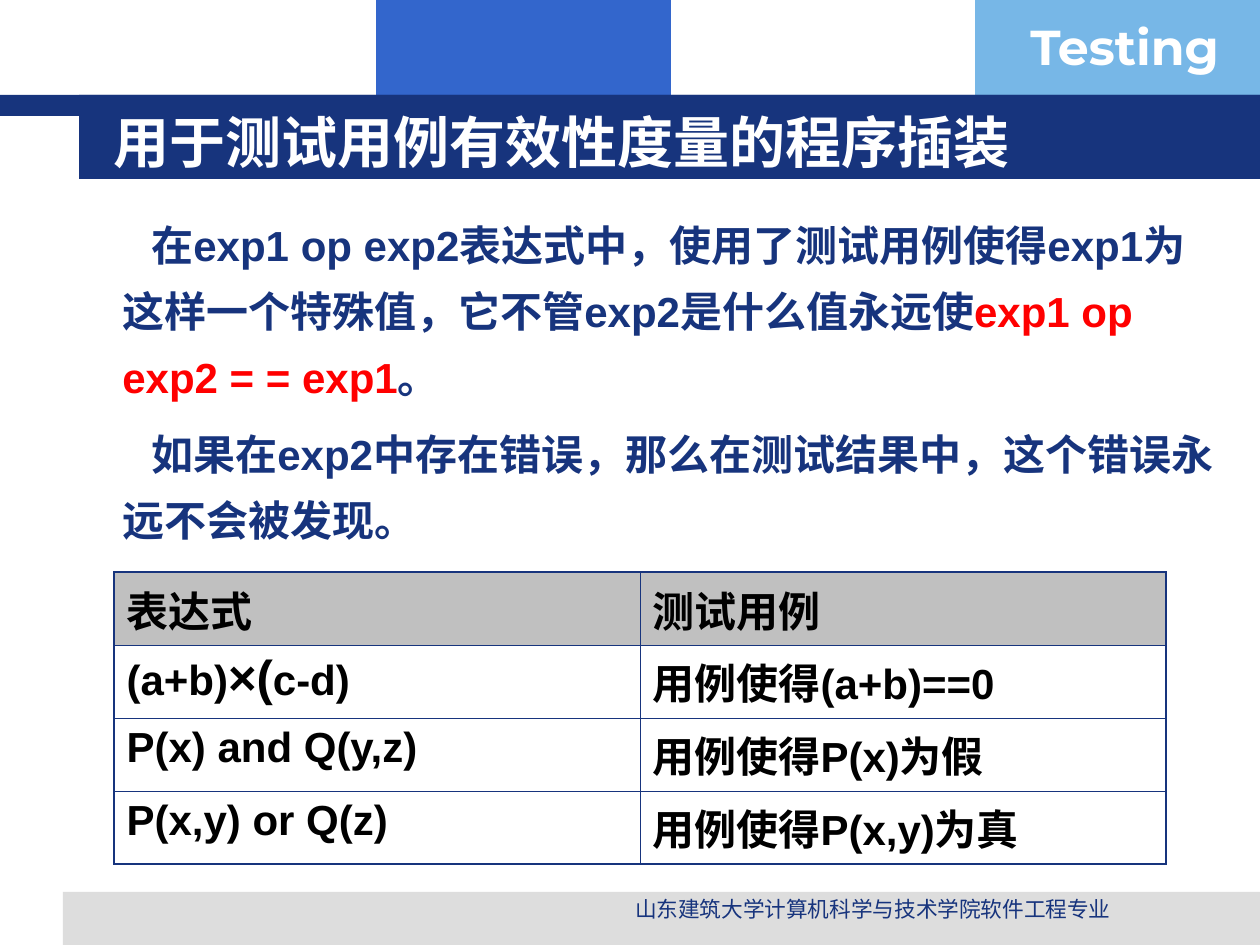
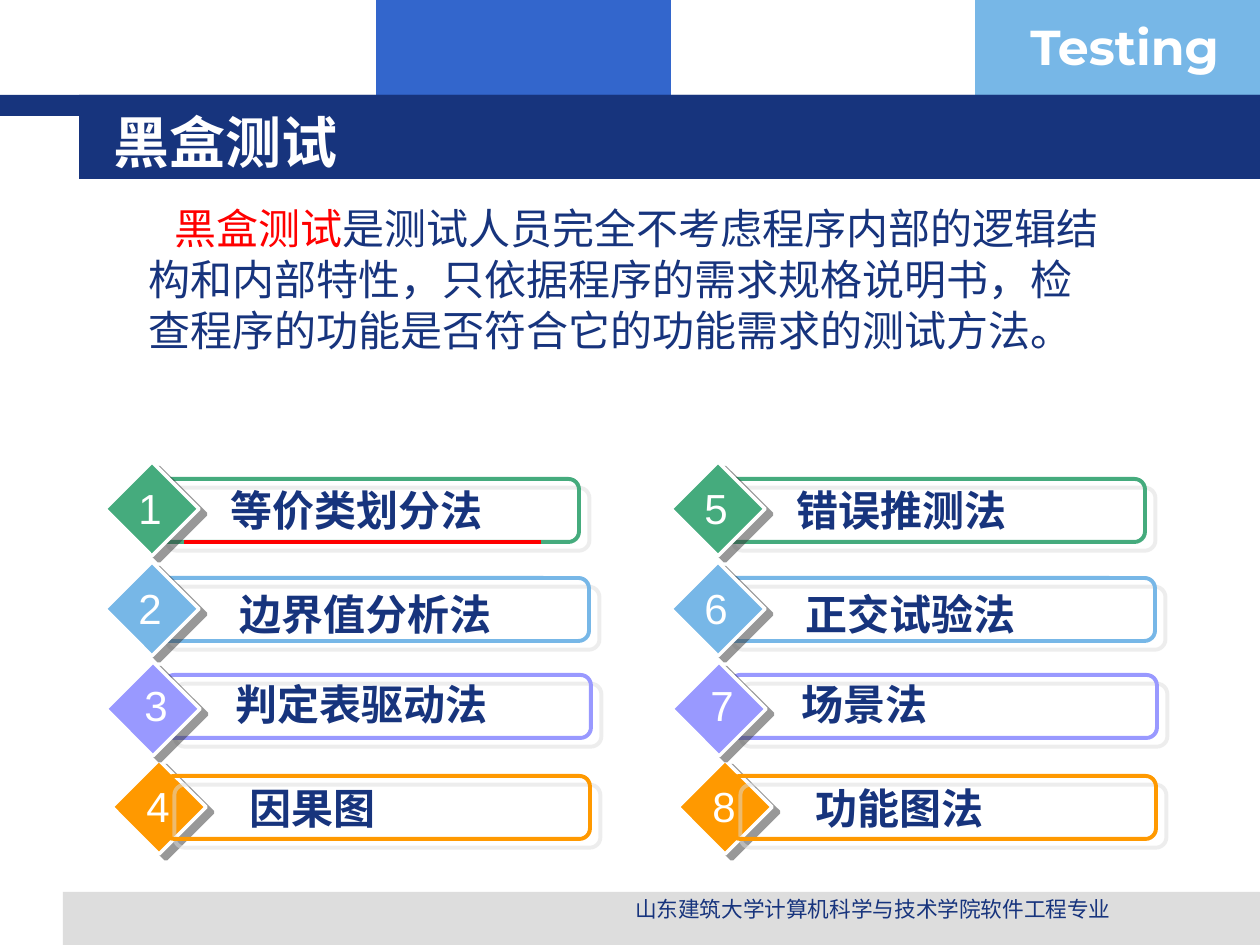
from lxml import etree
from pptx import Presentation
from pptx.dml.color import RGBColor
from pptx.enum.shapes import MSO_CONNECTOR, MSO_SHAPE
from pptx.enum.text import MSO_ANCHOR, PP_ALIGN
from pptx.oxml.ns import qn
from pptx.util import Emu, Pt

RECT, DIAMOND, ROUND = MSO_SHAPE.RECTANGLE, MSO_SHAPE.DIAMOND, MSO_SHAPE.ROUNDED_RECTANGLE
STRAIGHT = MSO_CONNECTOR.STRAIGHT
TOP, MIDDLE = MSO_ANCHOR.TOP, MSO_ANCHOR.MIDDLE
LEFT, CENTER = PP_ALIGN.LEFT, PP_ALIGN.CENTER

PX_PER_INCH = 126
COLORS = {
    "navy": "17347D", "blue": "3366CC", "sky": "77B7E7", "footer": "DDDDDD",
    "white": "FFFFFF", "black": "000000", "red": "FF0000", "header": "C0C0C0",
    "green": "45AB7D", "violet": "9999FF", "orange": "FF9900", "dark": "333333",
}
BANDS = [
    (376, 0, 295, 116, "blue"),
    (975, 0, 285, 116, "sky"),
    (63, 892, 1197, 53, "footer"),
    (0, 95, 1260, 21, "navy"),
    (79, 95, 1181, 84, "navy"),
]
EXPRESSION_ROWS = [
    (["表达式"], ["测试用例"]),
    (["(a+b)", "×(", "c-d)"], ["用例使得(a+b)==0"]),
    (["P(x) and Q(y,z)"], ["用例使得P(x)为假"]),
    (["P(x,y) or Q(z)"], ["用例使得P(x,y)为真"]),
]
METHOD_ROWS = [
    ("green", (156, 479, 423), (105, 462), (218, 478), (126, 476)),
    ("sky", (156, 578, 433), (105, 562), (227, 582), (126, 576)),
    ("violet", (164, 675, 427), (106, 662), (223, 672), (132, 673)),
    ("orange", (164, 776, 426), (112, 760), (237, 776), (134, 774)),
]
METHOD_COLUMNS = [
    ["等价类划分法", "边界值分析法", "判定表驱动法", "因果图"],
    ["错误推测法", "正交试验法", "场景法", "功能图法"],
]
COLUMN_STEP = 566


def px(n):
    return Emu(round(n * 914400 / PX_PER_INCH))


def rgb(name):
    return RGBColor.from_string(COLORS[name])


def format_run(r, size, color, bold=False, font="Arial"):
    r.font.name = font
    r.font.size = Pt(size)
    r.font.bold = bold
    r.font.color.rgb = rgb(color)


def add_text(s, x, y, w, h, text, size, color="navy", bold=False,
             font="Arial", align=LEFT, anchor=MIDDLE, wrap=True):
    tf = s.shapes.add_textbox(px(x), px(y), px(w), px(h)).text_frame
    tf.word_wrap = wrap
    tf.vertical_anchor = anchor
    p = tf.paragraphs[0]
    p.text = text
    p.alignment = align
    format_run(p.runs[0], size, color, bold, font)


def add_body(s, x, y, w, h, paragraphs, indent, line_height, bold=False):
    tf = s.shapes.add_textbox(px(x), px(y), px(w), px(h)).text_frame
    tf.word_wrap = True
    for i, parts in enumerate(paragraphs):
        p = tf.paragraphs[0] if i == 0 else tf.add_paragraph()
        p._p.get_or_add_pPr().set("indent", str(px(indent)))
        p.line_spacing = px(line_height)
        if i:
            p.space_before = Pt(6)
        for text, color in parts:
            r = p.add_run()
            r.text = text
            format_run(r, 24, color, bold)


def add_shadow(sp, color, distance, angle):
    effects = etree.SubElement(sp._element.spPr, qn("a:effectLst"))
    shadow = etree.SubElement(effects, qn("a:outerShdw"), blurRad="0",
                              dist=str(Pt(distance)), dir=str(angle * 60000),
                              algn="ctr", rotWithShape="0")
    clr = etree.SubElement(shadow, qn("a:srgbClr"), val=COLORS[color])
    etree.SubElement(clr, qn("a:alpha"), val="50000")


def add_band(s, x, y, w, h, color):
    sp = s.shapes.add_shape(RECT, px(x), px(y), px(w), px(h))
    sp.shadow.inherit = False
    sp.fill.solid()
    sp.fill.fore_color.rgb = rgb(color)
    sp.line.fill.background()


def add_diamond(s, x, y, color):
    sp = s.shapes.add_shape(DIAMOND, px(x), px(y), px(94), px(94))
    sp.fill.solid()
    sp.fill.fore_color.rgb = rgb(color)
    sp.line.color.rgb = rgb("white")
    sp.line.width = Pt(2)
    add_shadow(sp, "dark", 5, 37)


def add_frame(s, x, y, w, color):
    sp = s.shapes.add_shape(ROUND, px(x), px(y), px(w), px(63))
    sp.fill.background()
    sp.line.color.rgb = rgb(color)
    sp.line.width = Pt(2.25)
    add_shadow(sp, "footer", 7.8, 40)


def add_underline(s, x1, x2, y):
    line = s.shapes.add_connector(STRAIGHT, px(x1), px(y), px(x2), px(y))
    line.line.color.rgb = rgb("red")
    line.line.width = Pt(2)
    etree.SubElement(line._element.spPr, qn("a:effectLst"))


def set_borders(cell, outer_edges):
    tcPr = cell._tc.get_or_add_tcPr()
    for i, side in enumerate("LRTB"):
        width = Pt(1.08 if side in outer_edges else 0.45)
        ln = etree.Element(qn(f"a:ln{side}"), w=str(width))
        fill = etree.SubElement(ln, qn("a:solidFill"))
        etree.SubElement(fill, qn("a:srgbClr"), val=COLORS["navy"])
        tcPr.insert(i, ln)


def add_expression_table(s, x, y, w, row_height):
    count = len(EXPRESSION_ROWS)
    table = s.shapes.add_table(count, 2, px(x), px(y), px(w), px(row_height * count)).table
    table.horz_banding = False
    for i, row in enumerate(EXPRESSION_ROWS):
        table.rows[i].height = px(row_height)
        for j, parts in enumerate(row):
            cell = table.cell(i, j)
            if i == 0:
                cell.fill.solid()
                cell.fill.fore_color.rgb = rgb("header")
            else:
                cell.fill.background()
            edges = "LR"[j] + ("T" if i == 0 else "") + ("B" if i == count - 1 else "")
            set_borders(cell, edges)
            p = cell.text_frame.paragraphs[0]
            for text in parts:
                r = p.add_run()
                r.text = text
                format_run(r, 28 if text == "×(" else 24, "black", True)


def add_methods(s):
    color, _, (x, y), _, _ = METHOD_ROWS[-1]
    for column in range(len(METHOD_COLUMNS)):
        add_diamond(s, x + column * COLUMN_STEP, y, color)
    for column, names in enumerate(METHOD_COLUMNS):
        dx = column * COLUMN_STEP
        for i, (name, row) in enumerate(zip(names, METHOD_ROWS)):
            color, frame, diamond, label, number = row
            add_frame(s, frame[0] + dx, frame[1], frame[2], color)
            if row is not METHOD_ROWS[-1]:
                add_diamond(s, diamond[0] + dx, diamond[1], color)
            add_text(s, label[0] + dx, label[1], 330, 63, name, 24, bold=True)
            add_text(s, number[0] + dx, number[1], 48, 63,
                     str(column * len(names) + i + 1), 24, "white",
                     align=CENTER, wrap=False)


def add_base_slide(prs, title):
    s = prs.slides.add_slide(prs.slide_layouts[6])
    for band in BANDS:
        add_band(s, *band)
    add_text(s, 1018, 10, 242, 72, "Testing", 28, "white", True, "Montserrat", anchor=TOP)
    add_text(s, 511, 889, 724, 40, "山东建筑大学计算机科学与技术学院软件工程专业", 12.4, align=CENTER)
    add_text(s, 101, 102, 1124, 78, title, 32, "white", True, "DejaVu Sans")
    return s


def main():
    prs = Presentation()
    prs.slide_width, prs.slide_height = px(1260), px(945)

    s = add_base_slide(prs, "用于测试用例有效性度量的程序插装")
    add_body(s, 110, 198, 1116, 357, [
        [("在exp1 op exp2表达式中，使用了测试用例使得exp1为这样一个特殊值，它不管exp2是什么值永远使", "navy"),
         ("exp1 op exp2 = = exp1", "red"), ("。", "navy")],
        [("如果在exp2中存在错误，那么在测试结果中，这个错误永远不会被发现。", "navy")],
    ], 29, 66, True)
    add_expression_table(s, 114, 572, 1052, 73)

    s = add_base_slide(prs, "黑盒测试")
    add_body(s, 136, 196, 990, 270, [
        [("黑盒测试", "red"),
         ("是测试人员完全不考虑程序内部的逻辑结构和内部特性，只依据程序的需求规格说明书，"
          "检查程序的功能是否符合它的功能需求的测试方法。", "navy")],
    ], 26, 51)
    add_methods(s)
    add_underline(s, 184, 541, 542)

    prs.save("out.pptx")


if __name__ == "__main__":
    main()
